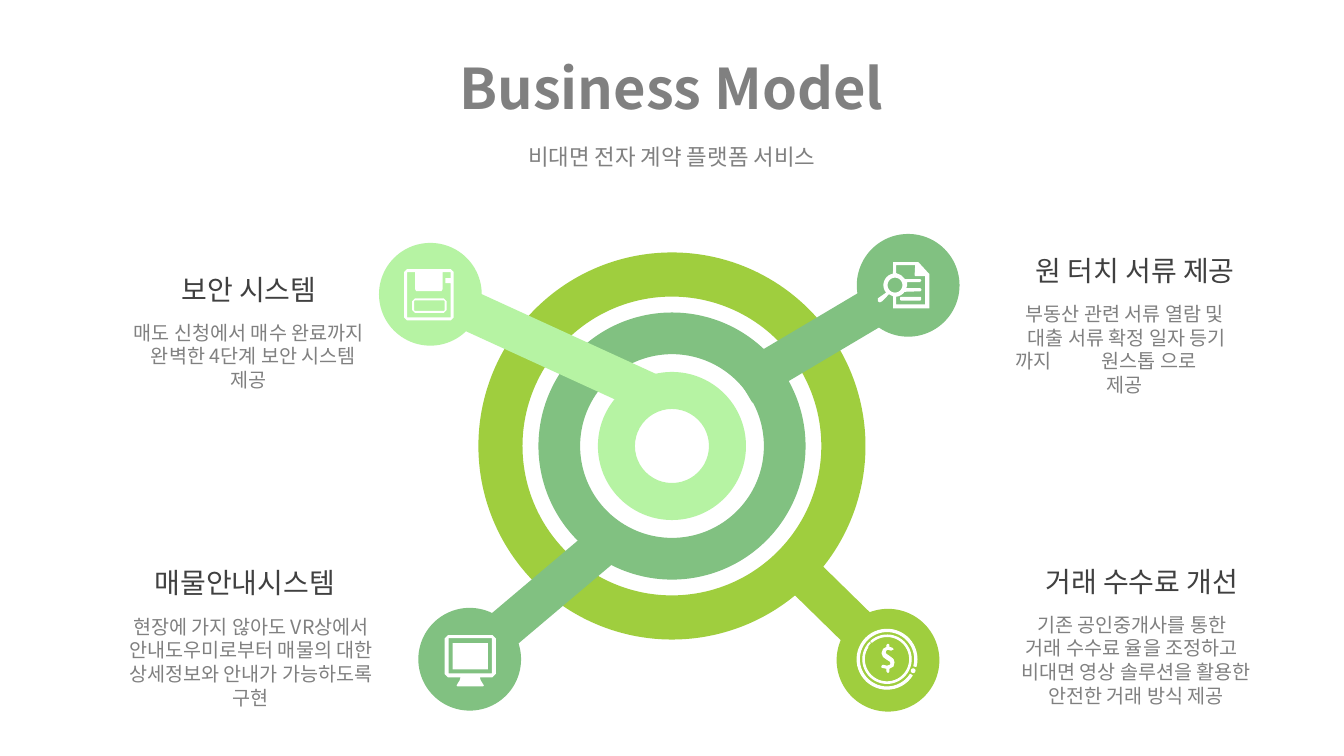
from math import cos, radians, sin

from lxml.etree import SubElement
from pptx import Presentation
from pptx.dml.color import RGBColor as Color
from pptx.enum.shapes import MSO_SHAPE as Preset
from pptx.enum.text import MSO_ANCHOR as Anchor, PP_ALIGN as Align
from pptx.oxml.ns import qn
from pptx.util import Pt

THEME = {
    "font": "Noto Sans CJK KR",
    "white": "FFFFFF", "gray": "808080", "dark": "404040",
    "light": "B6F3A3", "mid": "81C181", "lime": "9FCE3E",
    "title": 40, "subtitle": 16, "heading": 20, "body": 14,
}

TITLE = "Business Model"
SUBTITLE = "비대면 전자 계약 플랫폼 서비스"

TOPICS = [
    ("보안 시스템", (74.9, 190.8), (74.9, 225.4, 205.9, 41), [
        ("매도 신청에서 매수 완료까지", -25),
        ("완벽한 4단계 보안 시스템", 6.5),
        ("제공", 0)]),
    ("원 터치 서류 제공", (707.8, 177.8), (707.8, 212.4, 191.5, 58.3), [
        ("부동산 관련 서류 열람 및", -31),
        ("대출 서류 확정 일자 등기", 3),
        ("까지\t원스톱 으로", 10.7),
        ("제공", 0)]),
    ("거래 수수료 개선", (712.8, 399.6), (712.8, 434.2, 191.5, 74.9), [
        ("기존 공인중개사를 통한", -40),
        ("거래 수수료 율을 조정하고", -25),
        ("비대면 영상 솔루션을 활용한", 6),
        ("안전한 거래 방식 제공", 6)]),
    ("매물안내시스템", (72, 400.3), (72, 435.6, 214.6, 58.3), [
        ("현장에 가지 않아도 VR상에서", 0),
        ("안내도우미로부터 매물의 대한", 0),
        ("상세정보와 안내가 가능하도록 구현", 0)]),
]
HEADING_SIZE = (205.9, 31.7)
TAB_STOP = 98

HUB = (480, 318.6)
RINGS = [("light", 105.8, 0.25), ("mid", 190.8, 0.156), ("lime", 276.5, 0.114)]
BAR_THICKNESS = 28.8
NODE_DIAMETER = 73.4
ARMS = [
    ("mid", (601.9, 232.6), 167, 329.3, (648.7, 203.8)),
    ("light", (393.1, 248.4), 167, 24.6, (307.4, 210.2)),
    ("lime", (604.4, 441), 130.3, 44.4, (634.3, 471.6)),
    ("mid", (384.5, 428.8), 141.1, 139.8, (335.5, 470.9)),
]


def frame(left, top, width, height, cut=0):
    right, bottom = left + width, top + height
    return [(left + cut, top), (right - cut, top), (right, top + cut), (right, bottom - cut),
            (right - cut, bottom), (left + cut, bottom), (left, bottom - cut), (left, top + cut)]


def arc(center, radius, start, end, steps=48):
    angles = [radians(start + (end - start) * step / steps) for step in range(steps + 1)]
    return [(center[0] + radius * cos(angle), center[1] + radius * sin(angle)) for angle in angles]


def band(outer, inner, start, end):
    return arc((0, 0), outer, start, end) + arc((0, 0), inner, end, start)


LENS = (12.2, 16.5)
DISK_HOLE = [(33.1, 10.1), (33.1, 34.5), (2.2, 34.5), (2.2, 2.2), (7.9, 2.2), (7.9, 14.4),
             (8.6, 15.8), (26.6, 15.8), (27.4, 14.4), (27.4, 2.2), (33.1, 2.2), (33.1, 6.5),
             (29.5, 6.5), (29.5, 10.1)]
PAGE_EDGE = [(2.9, 28.1), (7.9, 23), (10.8, 24.5), (10.8, 33.1), (36.7, 33.1), (36.7, 8.6),
             (28.8, 0), (10.8, 0), *arc(LENS, 8.3, -100, -220, 10), (0, 25.9), (0, 28.1), (1.4, 28.8)]
PAGE_HOLE = [(13, 2.2), (26.6, 2.2), (26.2, 9.4), (26.6, 10.1), (33.8, 10.1), (33.8, 30.2),
             (13, 30.2), *arc(LENS, 8.3, 85, 35, 6), (30.2, 20.9), (31, 20.2), (31, 19.4),
             (30.2, 18.7), (20.2, 18.7), (20.9, 16.6), (20.9, 14.4), (30.2, 14.4), (31, 13),
             (30.2, 12.2), (19.4, 12.2), (16.6, 9.4), (13, 7.9)]
STAND = [(11.5, 30.2), (10.8, 32.4), (8.6, 36), (9.4, 36.7), (27.4, 36.7), (28.1, 36),
         (25.9, 32.4), (25.2, 30.2)]
DOLLAR = [(0, 5), (-2.9, 4.3), (-3.6, 5), (-3.6, 5.8), (0, 6.5), (0, 8.6), (0.7, 9.4), (1.4, 8.6),
          (1.4, 6.5), (4.3, 5), (5, 2.2), (4.3, 0), (1.4, -2.2), (-0.7, -3.6), (-1.4, -5),
          (-0.7, -6.5), (0.7, -7.2), (2.9, -6.5), (4.3, -7.2), (3.6, -7.9), (1.4, -8.6),
          (1.4, -10.1), (0.7, -10.8), (0, -10.1), (0, -8.6), (-2.5, -7.2), (-3.6, -4.3),
          (-2.5, -1.8), (0, 0), (2.2, 1.4), (2.9, 2.9), (2.2, 4.3)]

ICONS = [
    ((288.7, 192.2), 0, [
        [frame(0, 0, 35.3, 36.7, 2), DISK_HOLE],
        [frame(5.8, 20.9, 24.5, 10.4, 2), frame(7.2, 22.3, 21.7, 7.6, 0.5)]]),
    ((627.1, 187.2), 0, [
        [frame(15.8, 24.8, 15.1, 2.7, 0.6)],
        [PAGE_EDGE, PAGE_HOLE, arc(LENS, 5.3, 0, 360)]]),
    ((633.6, 470.9), 0.75, [
        [band(21.4, 19.8, 33, 374)],
        [arc((18.7, 8.2), 1.3, 0, 360)],
        [band(17.3, 16.6, 215, 224)],
        [band(17.3, 16.2, 228, 573)],
        [DOLLAR]]),
    ((317.5, 453.6), 0, [
        [frame(5.8, 5.8, 25.2, 18.7)],
        [frame(0, 0, 36.7, 30.2, 2.5), frame(2.9, 2.2, 31, 25.2), STAND]]),
]


def paint(shape, color, line=0):
    shape.shadow.inherit = False
    shape.fill.solid()
    shape.fill.fore_color.rgb = Color.from_string(THEME[color])
    if line:
        shape.line.color.rgb = Color.from_string(THEME[color])
        shape.line.width = Pt(line)
    else:
        shape.line.fill.background()


def add_preset(page, preset, center, width, height, color):
    left, top = center[0] - width / 2, center[1] - height / 2
    shape = page.shapes.add_shape(preset, Pt(left), Pt(top), Pt(width), Pt(height))
    paint(shape, color)
    return shape


def add_outline(page, origin, contours, line):
    placed = [[(Pt(origin[0] + x), Pt(origin[1] + y)) for x, y in contour] for contour in contours]
    builder = page.shapes.build_freeform(*placed[0][0], scale=1.0)
    for index, contour in enumerate(placed):
        if index:
            builder.move_to(*contour[0])
        builder.add_line_segments(contour[1:], close=True)
    paint(builder.convert_to_shape(), "white", line)


def add_text(page, lines, at, size="body", color="gray", bold=False, anchor=Anchor.TOP, spacing=1.2):
    box = page.shapes.add_textbox(*map(Pt, at))
    frame_text = box.text_frame
    frame_text.word_wrap = True
    frame_text.vertical_anchor = anchor
    for index, (text, indent) in enumerate(lines):
        para = frame_text.paragraphs[0] if index == 0 else frame_text.add_paragraph()
        para.alignment = Align.LEFT if "\t" in text else Align.CENTER
        if spacing:
            para.line_spacing = Pt(THEME[size] * spacing)
        span = para.add_run()
        span.text = text
        span.font.size = Pt(THEME[size])
        span.font.bold = bold
        span.font.name = THEME["font"]
        span.font.color.rgb = Color.from_string(THEME[color])
        SubElement(span.font._element, qn("a:ea")).set("typeface", THEME["font"])
        properties = para._p.get_or_add_pPr()
        if indent:
            properties.set("marL", "0")
            properties.set("indent", str(Pt(indent)))
        if "\t" in text:
            stops = SubElement(properties, qn("a:tabLst"))
            SubElement(stops, qn("a:tab"), pos=str(Pt(TAB_STOP)), algn="l")


def main():
    deck = Presentation()
    deck.slide_width, deck.slide_height = Pt(960), Pt(540)
    page = deck.slides.add_slide(deck.slide_layouts[6])
    add_text(page, [(TITLE, 0)], (63.4, 25.9, 832.3, 72), size="title", bold=True,
             anchor=Anchor.MIDDLE, spacing=None)
    add_text(page, [(SUBTITLE, 0)], (63.4, 98.6, 833, 29.5), size="subtitle")
    for heading, corner, body_at, lines in TOPICS:
        add_text(page, lines, body_at)
        add_text(page, [(heading, 0)], corner + HEADING_SIZE, size="heading", color="dark")
    for color, diameter, thickness in RINGS:
        ring = add_preset(page, Preset.DONUT, HUB, diameter, diameter, color)
        ring.adjustments[0] = thickness
    for color, center, length, angle, node in ARMS:
        bar = add_preset(page, Preset.RECTANGLE, center, length, BAR_THICKNESS, color)
        bar.rotation = angle
        add_preset(page, Preset.OVAL, node, NODE_DIAMETER, NODE_DIAMETER, color)
    for origin, line, outlines in ICONS:
        for contours in outlines:
            add_outline(page, origin, contours, line)
    deck.save("out.pptx")


if __name__ == "__main__":
    main()
